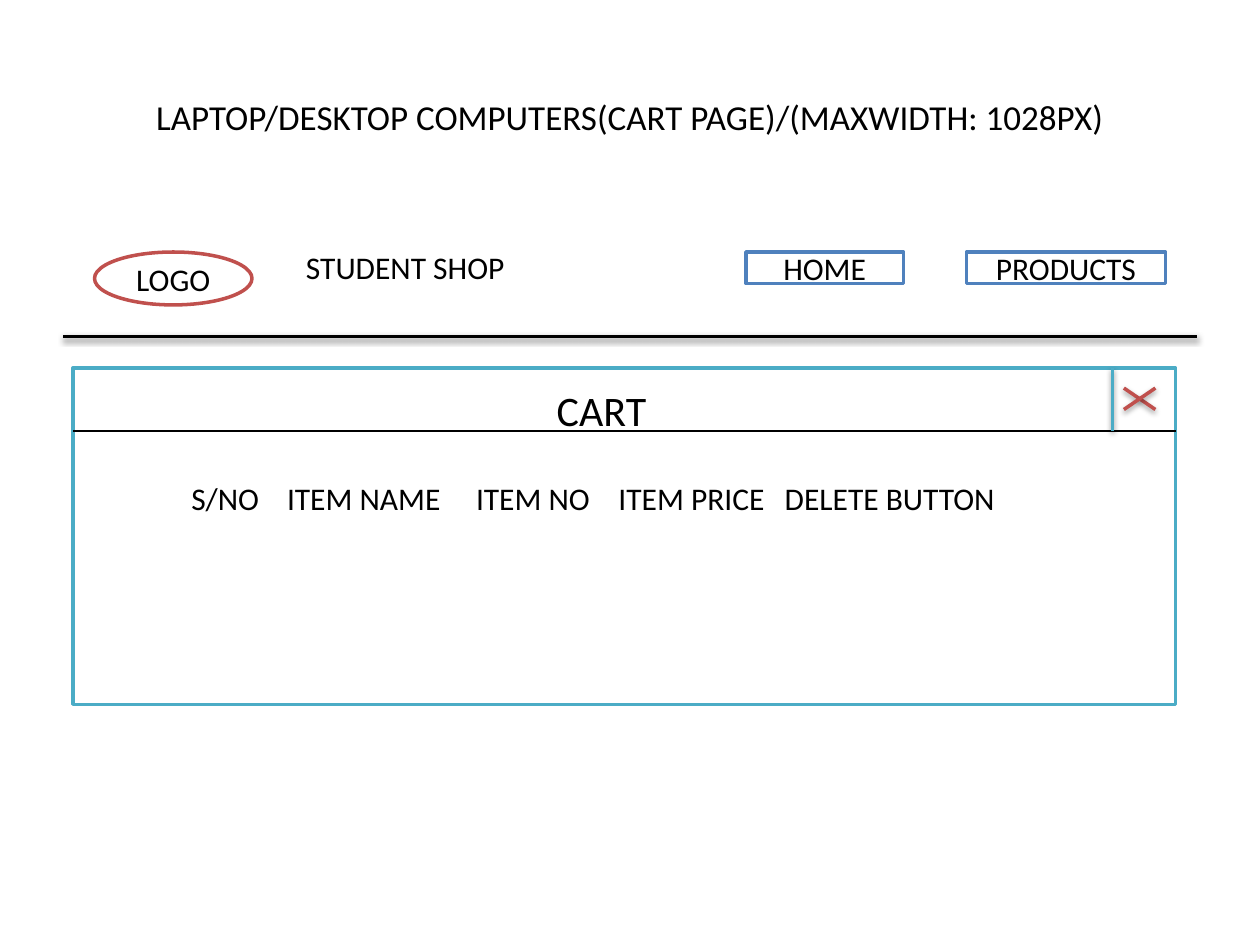
from lxml.etree import SubElement
from pptx import Presentation
from pptx.dml.color import RGBColor
from pptx.enum.shapes import MSO_CONNECTOR, MSO_SHAPE
from pptx.enum.text import MSO_ANCHOR, PP_ALIGN
from pptx.oxml.ns import qn
from pptx.util import Inches, Pt

BLACK, WHITE, BLUE, TEAL, RED = "000000", "FFFFFF", "4F81BD", "4BACC6", "C0504D"

# Cart panel: left, top, right, bottom, and the bar that holds its heading
LEFT, TOP, RIGHT, BOTTOM = 0.58, 2.92, 9.33, 5.59
BAR_BOTTOM = TOP + 0.5
CLOSE_LEFT = RIGHT - 0.5
CROSS_LEFT, CROSS_TOP, CROSS_RIGHT, CROSS_BOTTOM = 8.92, 3.08, 9.17, 3.25

# Text, box, size, alignment, anchor, left indent
TITLE = ("LAPTOP/DESKTOP COMPUTERS(CART PAGE)/(MAXWIDTH: 1028PX)",
         (0.5, 0.3, 9, 1.25), 20, PP_ALIGN.CENTER, MSO_ANCHOR.MIDDLE)
SHOP_NAME = ("STUDENT SHOP", (2.33, 1.92, 2.83, 0.4))
CART_HEADING = ("CART", (3.25, 3, 3.58, 0.5), 24, PP_ALIGN.LEFT, MSO_ANCHOR.TOP, 1.07)

# Column headings with the tab stop of each one after the first
COLUMNS = [("S/NO", 0), ("ITEM NAME", 0.76), ("ITEM NO", 2.26),
           ("ITEM PRICE", 3.39), ("DELETE BUTTON", 4.71)]
COLUMNS_BOX = (1.42, 3.75, 6.83, 0.71)

# Header parts: text, shape, left, width, height, line colour
HEADER_TOP = 2
HEADER = [("LOGO", MSO_SHAPE.OVAL, 0.75, 1.25, 0.42, RED),
          ("HOME", MSO_SHAPE.RECTANGLE, 5.92, 1.25, 0.25, BLUE),
          ("PRODUCTS", MSO_SHAPE.RECTANGLE, 7.67, 1.58, 0.25, BLUE)]

# Lines: start, end, colour, width, shadow
HEADER_RULE = ((0.5, 2.67), (9.5, 2.67), BLACK, 2, True)
PANEL_LINES = [
    ((LEFT, BAR_BOTTOM), (RIGHT, BAR_BOTTOM), BLACK, 0.75, False),
    ((CLOSE_LEFT, TOP), (CLOSE_LEFT, BAR_BOTTOM), TEAL, 2, True),
    ((CROSS_LEFT, CROSS_TOP), (CROSS_RIGHT, CROSS_BOTTOM), RED, 2, True),
    ((CROSS_RIGHT, CROSS_TOP), (CROSS_LEFT, CROSS_BOTTOM), RED, 2, True),
]


def color(hex_value):
    return RGBColor.from_string(hex_value)


def write(shape, text, size=18, align=PP_ALIGN.LEFT, anchor=MSO_ANCHOR.TOP):
    frame = shape.text_frame
    frame.word_wrap = True
    frame.vertical_anchor = anchor
    frame.text = text
    paragraph = frame.paragraphs[0]
    paragraph.alignment = align
    for run in paragraph.runs:
        run.font.name = "Calibri"
        run.font.size = Pt(size)
        run.font.color.rgb = color(BLACK)
    return paragraph


def add_text(slide, text, box, size=18, align=PP_ALIGN.LEFT,
             anchor=MSO_ANCHOR.TOP, indent=0):
    shape = slide.shapes.add_textbox(*map(Inches, box))
    paragraph = write(shape, text, size, align, anchor)
    if indent:
        paragraph._p.get_or_add_pPr().set("marL", str(Inches(indent)))
    return paragraph


def add_outline(slide, kind, box, line_color):
    shape = slide.shapes.add_shape(kind, *map(Inches, box))
    shape.shadow.inherit = False
    shape.fill.solid()
    shape.fill.fore_color.rgb = color(WHITE)
    shape.line.color.rgb = color(line_color)
    shape.line.width = Pt(2)
    return shape


def add_line(slide, start, end, line_color, width, shadow):
    line = slide.shapes.add_connector(MSO_CONNECTOR.STRAIGHT, *map(Inches, start + end))
    line.line.color.rgb = color(line_color)
    line.line.width = Pt(width)
    effects = SubElement(line._element.spPr, qn("a:effectLst"))
    if shadow:
        outer = SubElement(effects, qn("a:outerShdw"), blurRad="40000", dist="20000",
                           dir="5400000", rotWithShape="0")
        tone = SubElement(outer, qn("a:srgbClr"), val=BLACK)
        SubElement(tone, qn("a:alpha"), val="38000")


def add_tab_stops(paragraph, stops):
    tabs = SubElement(paragraph._p.get_or_add_pPr(), qn("a:tabLst"))
    for stop in stops:
        SubElement(tabs, qn("a:tab"), pos=str(Inches(stop)), algn="l")


def main():
    presentation = Presentation()
    presentation.slide_width, presentation.slide_height = Inches(10), Inches(7.5)
    slide = presentation.slides.add_slide(presentation.slide_layouts[6])

    # Title and page header
    add_text(slide, *TITLE)
    add_line(slide, *HEADER_RULE)
    for text, kind, left, width, height, line_color in HEADER:
        shape = add_outline(slide, kind, (left, HEADER_TOP, width, height), line_color)
        write(shape, text, align=PP_ALIGN.CENTER, anchor=MSO_ANCHOR.MIDDLE)
    add_text(slide, *SHOP_NAME)

    # Cart panel with its close button
    panel_box = (LEFT, TOP, RIGHT - LEFT, BOTTOM - TOP)
    add_outline(slide, MSO_SHAPE.RECTANGLE, panel_box, TEAL)
    for line in PANEL_LINES:
        add_line(slide, *line)
    add_text(slide, *CART_HEADING)

    # Column headings
    headings = add_text(slide, "\t".join(name for name, _ in COLUMNS), COLUMNS_BOX)
    add_tab_stops(headings, [stop for _, stop in COLUMNS[1:]])

    presentation.save("out.pptx")


if __name__ == "__main__":
    main()
